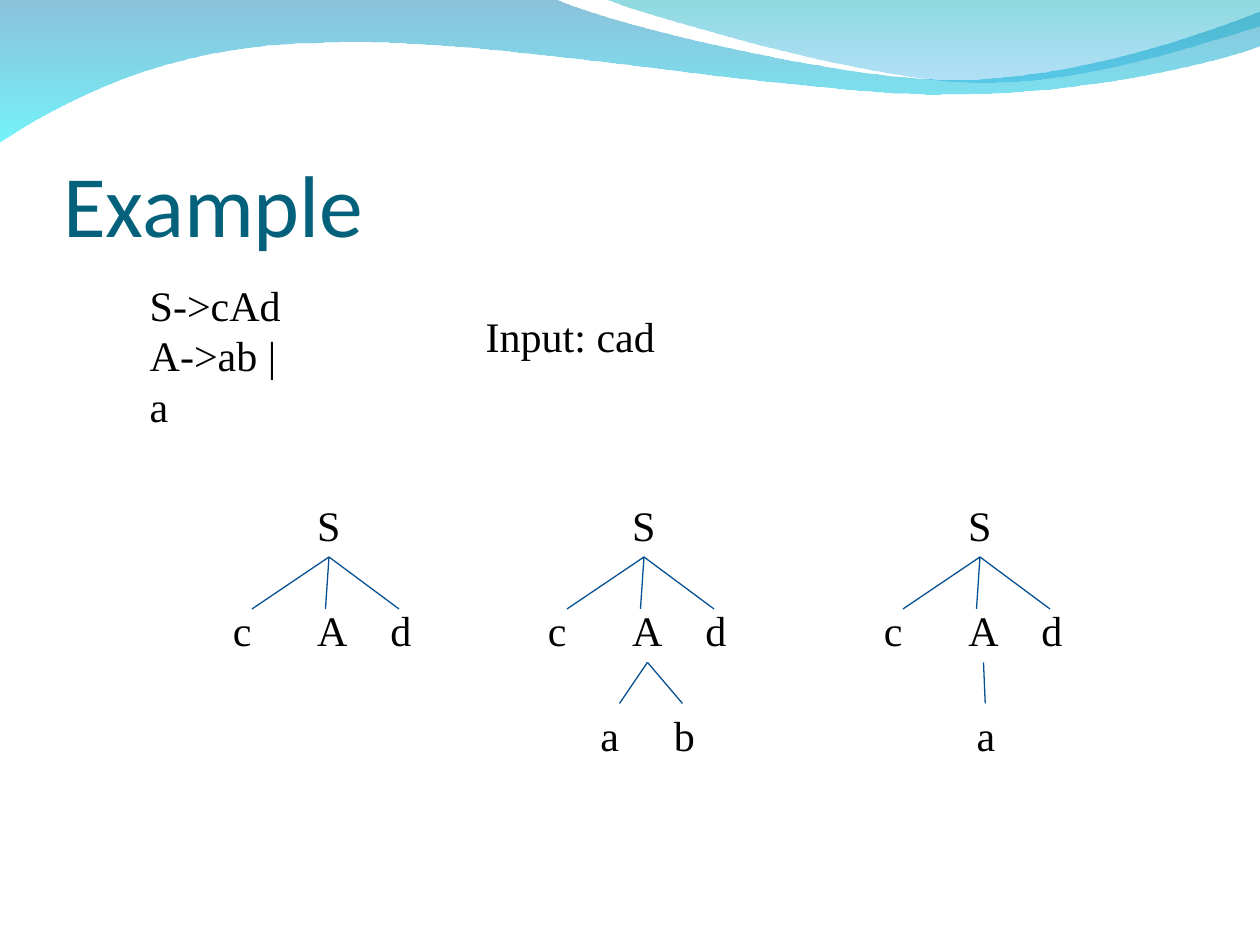
from dataclasses import dataclass

from lxml import etree
from pptx import Presentation, util as u
from pptx.dml.color import RGBColor
from pptx.enum import shapes, text
from pptx.oxml.ns import qn

Pt = u.Pt


@dataclass(frozen=True)
class Theme:
    title: str = "04617B"
    ink: str = "000000"
    branch: str = "065093"
    title_font: str = "Calibri"
    body_font: str = "Times New Roman"
    title_size: int = 50
    body_size: int = 24
    line_width: float = 0.74
    # Each stop: colour, opacity in percent
    wave_back: tuple = (("0079AF", 45), ("00EBF8", 55))
    wave_front: tuple = (("00ADB6", 45), ("009BE5", 30))


def write(tf, content, font, size, color, insets=(7.2, 3.6, 7.2, 3.6),
          anchor=text.MSO_ANCHOR.TOP, wrap=False, fit=text.MSO_AUTO_SIZE.SHAPE_TO_FIT_TEXT):
    """Fill a text frame, one paragraph per line of content."""
    tf.word_wrap = wrap
    tf.auto_size = fit
    tf.vertical_anchor = anchor
    tf.margin_left, tf.margin_top, tf.margin_right, tf.margin_bottom = map(Pt, insets)
    for i, line in enumerate(content.split("\n")):
        p = tf.paragraphs[0] if i == 0 else tf.add_paragraph()
        p.alignment = text.PP_ALIGN.LEFT
        r = p.add_run()
        r.text = line
        r.font.name, r.font.size = font, Pt(size)
        r.font.color.rgb = RGBColor.from_string(color)


def bend(sp, segments):
    """Turn each run of three straight steps of an outline into one cubic curve."""
    steps = list(sp._element.iter(qn("a:lnTo")))
    for seg in segments:
        group, steps = steps[:len(seg)], steps[len(seg):]
        if len(seg) == 3:
            curve = etree.Element(qn("a:cubicBezTo"))
            group[0].addprevious(curve)
            for step in group:
                curve.append(step[0])
                step.getparent().remove(step)


class Deck:
    def __init__(self, prs, theme):
        self.theme = theme
        self.s = prs.slides.add_slide(prs.slide_layouts[5])

    def wave(self, start, segments, stops):
        """Closed outline; a segment has one point (straight) or three (cubic)."""
        points = [(Pt(x), Pt(y)) for seg in segments for x, y in seg]
        builder = self.s.shapes.build_freeform(*map(Pt, start), scale=1.0)
        builder.add_line_segments(points, close=True)
        sp = builder.convert_to_shape()
        bend(sp, segments)
        sp.shadow.inherit = False
        sp.line.fill.background()
        sp.fill.gradient()
        sp.fill.gradient_angle = 270
        for stop, place, (color, opacity) in zip(sp.fill.gradient_stops, (0, 1), stops):
            stop.position = place
            stop.color.rgb = RGBColor.from_string(color)
        colors = sp._element.spPr.iter(qn("a:srgbClr"))
        for clr, (_, opacity) in zip(list(colors), stops):
            etree.SubElement(clr, qn("a:alpha")).set("val", str(opacity * 1000))

    def title(self, content, x, y, w, h):
        sp = self.s.shapes.title
        sp.left, sp.top, sp.width, sp.height = map(Pt, (x, y, w, h))
        write(sp.text_frame, content, self.theme.title_font, self.theme.title_size,
              self.theme.title, insets=(0, 3.6, 0, 0), wrap=True,
              anchor=text.MSO_ANCHOR.BOTTOM, fit=text.MSO_AUTO_SIZE.NONE)

    def label(self, content, x, y, w, h=36, parent=None):
        sp = (parent or self.s).shapes.add_textbox(*map(Pt, (x, y, w, h)))
        write(sp.text_frame, content, self.theme.body_font, self.theme.body_size,
              self.theme.ink)

    def branch(self, x1, y1, x2, y2, parent):
        line = parent.shapes.add_connector(
            shapes.MSO_CONNECTOR.STRAIGHT, *map(Pt, (x1, y1, x2, y2)))
        line.line.color.rgb = RGBColor.from_string(self.theme.branch)
        line.line.width = Pt(self.theme.line_width)
        etree.SubElement(line._element.spPr, qn("a:effectLst"))

    def tree(self, x, leaves):
        """Parse tree; each child is symbol, left, width, branch end from x."""
        grp = self.s.shapes.add_group_shape()
        self.label("S", x + 48.2, 282, 27.5, parent=grp)
        children = (("c", 0, 25, 18), ("A", 48.2, 32, 60), ("d", 90, 26, 102))
        for apex, y1, y2, top, nodes in ((62, 318.3, 348, 342, children),
                                         (64, 378.5, 402, 402, leaves)):
            for symbol, left, width, end in nodes:
                self.branch(x + apex, y1, x + end, y2, grp)
                self.label(symbol, x + left, top, width, parent=grp)


prs = Presentation()
prs.slide_width, prs.slide_height = Pt(720), Pt(540)
theme = Theme()
deck = Deck(prs, theme)

# Waves along the top edge
deck.wave((0, -0.7), [
    [(316.8, -0.7)],
    [(342.7, 12.2), (478.1, 45.4), (545.8, 45.4)],
    [(614.2, 45.4), (689.8, 18.7), (720, 6.5)],
    [(720.7, 25.9)],
    [(707.8, 31.7), (626.4, 54.7), (537.1, 54)],
    [(447.8, 54), (275, 20.2), (185, 24.5)],
    [(92.9, 25.2), (33.1, 59.8), (-0.7, 81.4)],
    [(0, -0.7)],
], theme.wave_back)
deck.wave((344.9, -0.7), [
    [(366.5, 7.9), (491, 44.6), (553.7, 46.8)],
    [(616.3, 49.7), (691.9, 23), (720, 15.1)],
    [(720, 0)],
    [(344.9, -0.7)],
], theme.wave_front)

# Title, grammar and input
deck.title("Example", 36, 55.5, 648, 90)
deck.label("S->cAd\nA->ab | a", 78.5, 156, 103, 65)
deck.label("Input: cad", 270.5, 174, 111)

# Steps of the parse
for x, leaves in ((126, ()),
                  (306, (("a", 30, 25, 48), ("b", 72, 26, 84))),
                  (498, (("a", 53, 25, 65),))):
    deck.tree(x, leaves)

prs.save("out.pptx")
